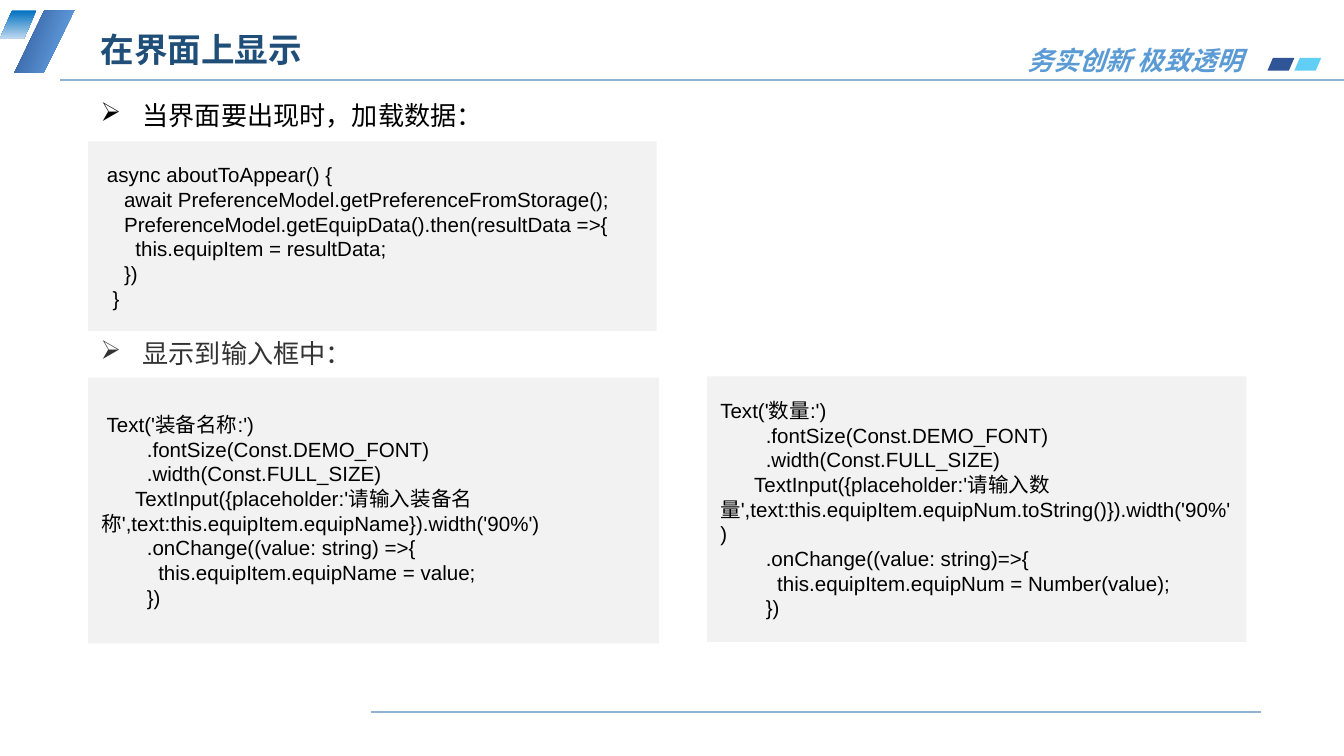
import pptx
import pptx.util
import pptx.dml.color
import pptx.enum.shapes
import pptx.enum.text
import pptx.oxml
import pptx.oxml.ns
import lxml.etree
from dataclasses import dataclass

Pt = pptx.util.Pt
Kind = pptx.enum.shapes.MSO_SHAPE
Align = pptx.enum.text.PP_ALIGN
Anchor = pptx.enum.text.MSO_ANCHOR
qn = pptx.oxml.ns.qn


@dataclass(frozen=True)
class Theme:
    latin: str = "Arial"
    han: str = "Noto Sans CJK SC"
    title: str = "1F4E79"
    slogan: str = "5B9BD5"
    ink: str = "000000"
    soft: str = "333333"
    panel: str = "F2F2F2"
    rule: str = "8EB3D3"
    navy: str = "2F5597"
    cyan: str = "00B0F0"
    slant: tuple = ("2F5597", "6CAFEF")
    chip: tuple = ("0070C0", "BDD7EE")
    head: int = 18
    body: int = 14
    code: int = 11


T = Theme()
LEFT = 46.8

LOAD = """\
 async aboutToAppear() {
    await PreferenceModel.getPreferenceFromStorage();
    PreferenceModel.getEquipData().then(resultData =>{
      this.equipItem = resultData;
    })
  }"""

NAME = """\
 Text('装备名称:')
        .fontSize(Const.DEMO_FONT)
        .width(Const.FULL_SIZE)
      TextInput({placeholder:'请输入装备名称',text:this.equipItem.equipName}).width('90%')
        .onChange((value: string) =>{
          this.equipItem.equipName = value;
        })"""

COUNT = """\
Text('数量:')
        .fontSize(Const.DEMO_FONT)
        .width(Const.FULL_SIZE)
      TextInput({placeholder:'请输入数量',text:this.equipItem.equipNum.toString()}).width('90%')
        .onChange((value: string)=>{
          this.equipItem.equipNum = Number(value);
        })"""


def rgb(code):
    return pptx.dml.color.RGBColor.from_string(code)


def style(para, size, color, latin=T.latin, bold=False, slant=False):
    font = para.font
    font.name, font.size = latin, Pt(size)
    font.bold, font.italic = bold, slant
    font.color.rgb = rgb(color)
    east = lxml.etree.SubElement(font._element, qn("a:ea"))
    east.set("typeface", T.han)


def label(slide, box, text, wrap=True, anchor=Anchor.TOP):
    """Add a one-line text box and return its paragraph."""
    frame = slide.shapes.add_textbox(*map(Pt, box)).text_frame
    frame.word_wrap = wrap
    frame.vertical_anchor = anchor
    para = frame.paragraphs[0]
    para.text = text
    return para


def bullet(slide, box, text, color, wrap=True):
    para = label(slide, box, text, wrap)
    props = para._p.get_or_add_pPr()
    props.set("marL", str(Pt(22.5)))
    props.set("indent", str(-Pt(22.5)))
    mark = lxml.etree.SubElement(props, qn("a:buChar"))
    mark.set("char", "➢")
    style(para, T.body, color)


def shape(slide, kind, box):
    item = slide.shapes.add_shape(kind, *map(Pt, box))
    item.shadow.inherit = False
    item.line.fill.background()
    return item


def solid(item, color, alpha=None):
    item.fill.solid()
    item.fill.fore_color.rgb = rgb(color)
    if alpha is not None:
        tint = item._element.spPr.find(".//" + qn("a:srgbClr"))
        lxml.etree.SubElement(tint, qn("a:alpha")).set("val", str(alpha * 1000))


def blend(item, colors, angle):
    item.fill.gradient()
    item.fill.gradient_angle = angle
    for stop, color in zip(item.fill.gradient_stops, colors):
        stop.color.rgb = rgb(color)


def code(slide, box, text):
    item = shape(slide, Kind.RECTANGLE, box)
    solid(item, T.panel)
    frame = item.text_frame
    frame.word_wrap = True
    frame.vertical_anchor = Anchor.MIDDLE
    frame.text = text
    for para in frame.paragraphs:
        para.alignment = Align.LEFT
        style(para, T.code, T.ink)


def rule(slide, start, end, y):
    line = slide.shapes.add_connector(
        pptx.enum.shapes.MSO_CONNECTOR.STRAIGHT, Pt(start), Pt(y), Pt(end), Pt(y))
    line.line.color.rgb = rgb(T.rule)
    line.line.width = Pt(1)
    lxml.etree.SubElement(line._element.spPr, qn("a:effectLst"))


def skew(slide, box):
    item = shape(slide, Kind.PARALLELOGRAM, box)
    item.adjustments[0] = 0.43
    return item


def stripe(slide):
    """Draw the tall slanted bar in the top left corner."""
    dots = [(Pt(x), Pt(y)) for x, y in ((7.7, 39), (23.8, 5.6), (39.8, 5.6), (23.4, 39))]
    path = slide.shapes.build_freeform(*dots[0], scale=1.0)
    path.add_line_segments(dots[1:], close=True)
    item = path.convert_to_shape()
    item.shadow.inherit = False
    item.line.fill.background()
    blend(item, T.slant, 340)


def frame(slide):
    """Draw the rules, corner marks and slogan around the content."""
    rule(slide, 32.4, 720, 42.9)
    solid(skew(slide, (679, 31.1, 14.4, 6.8)), T.navy)
    solid(skew(slide, (693.4, 31.1, 14.4, 6.8)), T.cyan, 62)
    rule(slide, 198.7, 675.4, 381.6)
    stripe(slide)
    blend(skew(slide, (0, 5.6, 19.4, 15.1)), T.chip, 270)
    para = label(slide, (542.2, 20.2, 131.8, 24.5), "务实创新 极致透明", wrap=False)
    para.alignment = Align.CENTER
    style(para, T.body, T.slogan, T.han, bold=True, slant=True)


def main():
    deck = pptx.Presentation()
    deck.slide_width, deck.slide_height = Pt(720), Pt(405)
    slide = deck.slides.add_slide(deck.slide_layouts[6])
    frame(slide)
    title = label(slide, (LEFT, 13, 252.7, 28.8), "在界面上显示", anchor=Anchor.MIDDLE)
    title.line_spacing = 0.9
    style(title, T.head, T.title, bold=True)
    bullet(slide, (LEFT, 49.7, 360, 24.5), "当界面要出现时，加载数据：", T.ink)
    code(slide, (LEFT + 0.4, 75.8, 304.6, 101.5), LOAD)
    bullet(slide, (LEFT, 177.4, 154, 24.5), "显示到输入框中：", T.soft, wrap=False)
    code(slide, (LEFT + 0.4, 202.4, 305.8, 142.3), NAME)
    code(slide, (378.8, 201.6, 288.9, 142.3), COUNT)
    deck.save("out.pptx")


if __name__ == "__main__":
    main()
